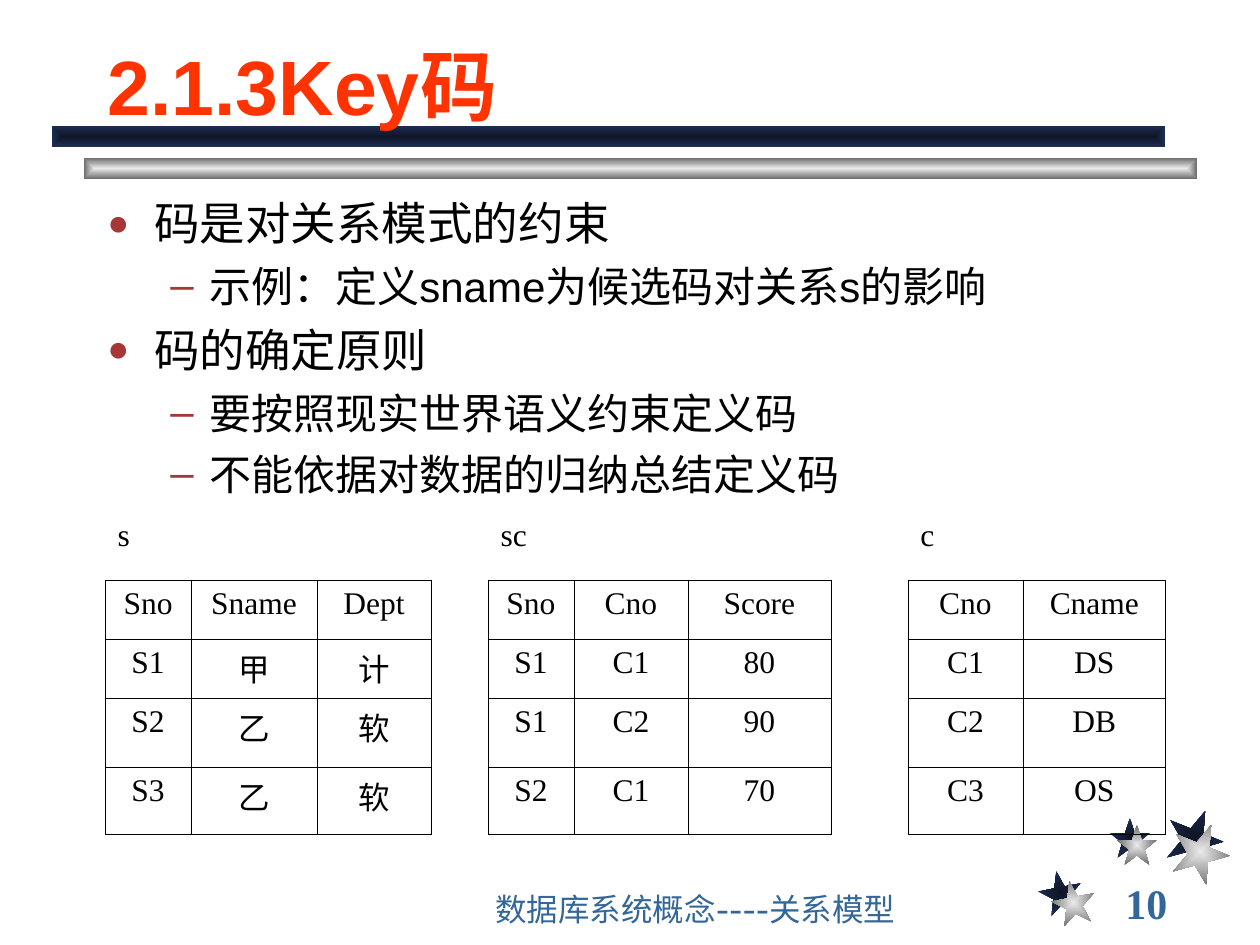
from dataclasses import dataclass

from lxml.etree import SubElement
from pptx import Presentation
from pptx.dml.color import RGBColor
from pptx.enum.shapes import MSO_SHAPE
from pptx.enum.text import MSO_ANCHOR, PP_ALIGN
from pptx.oxml.ns import qn
from pptx.util import Pt

EMU_PER_PX = 914400 / 126


def px(length):
    return round(length * EMU_PER_PX)


@dataclass(frozen=True)
class Theme:
    ink: str = "000000"
    title: str = "FF3300"
    footer: str = "336699"
    bullet: str = "A73737"
    navy: tuple = ("0E1526", "1E2E53")
    silver: tuple = ("EAEAEA", "6C6C6C")
    sans: str = "Arial"
    serif: str = "Times New Roman"
    footer_font: str = "Cabin"
    title_size: int = 44
    body_sizes: tuple = (26, 24)
    number_size: int = 24
    small_size: int = 18
    border: float = 0.45


# Outline of a five-pointed star in a unit square
STAR = [(0, .38), (.38, .38), (.5, 0), (.62, .38), (1, .38),
        (.69, .62), (.81, 1), (.5, .76), (.19, 1), (.31, .62)]

# Bullet character, size in percent, left margin and hanging indent by level
LEVELS = [("●", 80, 47, 47), ("–", 100, 102, 39)]


class SlideBuilder:
    def __init__(self, page, theme):
        self.page = page
        self.theme = theme

    def span(self, para, text, size, font, color, bold=False):
        span = para.add_run()
        span.text = text
        span.font.size = Pt(size)
        span.font.name = font
        span.font.bold = bold
        span.font.color.rgb = RGBColor.from_string(color)

    def gradient(self, shape, colors):
        """Rectangular gradient from the centre outwards."""
        shape.shadow.inherit = False
        shape.line.fill.background()
        shape.fill.gradient()
        for stop, color, position in zip(shape.fill.gradient_stops, colors, (0, 1)):
            stop.color.rgb = RGBColor.from_string(color)
            stop.position = position
        grad = shape._element.spPr.find(qn("a:gradFill"))
        grad.remove(grad.find(qn("a:lin")))
        route = SubElement(grad, qn("a:path"), {"path": "rect"})
        SubElement(route, qn("a:fillToRect"), dict.fromkeys("ltrb", "50000"))

    def bar(self, left, top, width, height, colors):
        bar = self.page.shapes.add_shape(
            MSO_SHAPE.RECTANGLE, px(left), px(top), px(width), px(height))
        self.gradient(bar, colors)

    def star(self, left, top, size, rotation, colors):
        points = [(px(left + x * size), px(top + y * size)) for x, y in STAR]
        builder = self.page.shapes.build_freeform(*points[0])
        builder.add_line_segments(points[1:], close=True)
        star = builder.convert_to_shape()
        star.rotation = rotation
        self.gradient(star, colors)

    def text_box(self, left, top, width, height, anchor):
        box = self.page.shapes.add_textbox(px(left), px(top), px(width), px(height))
        frame = box.text_frame
        frame.word_wrap = True
        frame.vertical_anchor = anchor
        return frame

    def label(self, frame_px, anchor, text, size, font, color, bold=False):
        frame = self.text_box(*frame_px, anchor)
        self.span(frame.paragraphs[0], text, size, font, color, bold)

    def bullets(self, frame_px, items):
        frame = self.text_box(*frame_px, MSO_ANCHOR.TOP)
        for index, (level, text) in enumerate(items):
            para = frame.paragraphs[0] if index == 0 else frame.add_paragraph()
            para.level = level
            size = self.theme.body_sizes[level]
            if index:
                para.space_before = Pt(size / 4)
            mark, percent, margin, hang = LEVELS[level]
            props = para._p.get_or_add_pPr()
            props.set("marL", str(px(margin)))
            props.set("indent", str(-px(hang)))
            color = SubElement(props, qn("a:buClr"))
            SubElement(color, qn("a:srgbClr"), val=self.theme.bullet)
            SubElement(props, qn("a:buSzPct"), val=str(percent * 1000))
            SubElement(props, qn("a:buFont"), typeface=self.theme.sans)
            SubElement(props, qn("a:buChar"), char=mark)
            self.span(para, text, size, self.theme.sans, self.theme.ink)

    def borders(self, cell, sides):
        """Rule the named sides and leave the others open."""
        props = cell._tc.get_or_add_tcPr()
        for position, side in enumerate("LRTB"):
            line = props.makeelement(
                qn(f"a:ln{side}"), {"w": str(Pt(self.theme.border))})
            props.insert(position, line)
            if side in sides:
                fill = SubElement(line, qn("a:solidFill"))
                SubElement(fill, qn("a:srgbClr"), val=self.theme.ink)
            else:
                SubElement(line, qn("a:noFill"))

    def table(self, left, top, widths, heights, rows):
        """Captions in the first row; empty columns separate the relations."""
        table = self.page.shapes.add_table(
            len(rows), len(widths), px(left), px(top),
            px(sum(widths)), px(sum(heights))).table
        table.first_row = table.horz_banding = False
        for column, width in zip(table.columns, widths):
            column.width = px(width)
        for row, height in zip(table.rows, heights):
            row.height = px(height)

        def ruled(r, c):
            return 0 < r < len(rows) and 0 <= c < len(widths) and rows[r][c] != ""

        for r, values in enumerate(rows):
            for c, value in enumerate(values):
                cell = table.cell(r, c)
                cell.fill.background()
                neighbours = {"L": (r, c - 1), "R": (r, c + 1),
                              "T": (r - 1, c), "B": (r + 1, c)}
                self.borders(cell, [side for side, place in neighbours.items()
                                    if ruled(r, c) or ruled(*place)])
                cell.margin_left = cell.margin_right = px(12.6)
                cell.margin_top = cell.margin_bottom = px(6.3)
                para = cell.text_frame.paragraphs[0]
                para.alignment = PP_ALIGN.CENTER if r else PP_ALIGN.LEFT
                if value:
                    self.span(para, value, self.theme.small_size,
                              self.theme.serif, self.theme.ink)
                else:
                    para.font.size = Pt(self.theme.small_size)


def main():
    theme = Theme()
    deck = Presentation()
    deck.slide_width, deck.slide_height = px(1260), px(945)
    slide = SlideBuilder(deck.slides.add_slide(deck.slide_layouts[6]), theme)

    # Corner stars: navy behind, silver in front
    for colors, places in (
            (theme.navy, ((1039, 871), (1110, 818), (1166, 809))),
            (theme.silver, ((1052, 881), (1117, 825), (1172, 823)))):
        for place, size, rotation in zip(places, (43, 40, 57), (349, 0, 22)):
            slide.star(*place, size, rotation, colors)

    # Bars under the title
    slide.bar(84, 158, 1113, 21, theme.silver)
    slide.bar(52, 126, 1113, 21, theme.navy)

    # Page number and footer
    slide.label((1113, 882, 136, 42), MSO_ANCHOR.MIDDLE, "10",
                theme.number_size, theme.serif, theme.footer, bold=True)
    slide.label((483, 892, 514, 42), MSO_ANCHOR.BOTTOM, "数据库系统概念----关系模型",
                theme.small_size, theme.footer_font, theme.footer)

    # Title and body
    slide.label((95, 21, 1071, 116), MSO_ANCHOR.BOTTOM, "2.1.3Key码",
                theme.title_size, theme.sans, theme.title, bold=True)
    slide.bullets((95, 189, 992, 343), [
        (0, "码是对关系模式的约束"),
        (1, "示例：定义sname为候选码对关系s的影响"),
        (0, "码的确定原则"),
        (1, "要按照现实世界语义约束定义码"),
        (1, "不能依据对数据的归纳总结定义码"),
    ])

    # Relations s, sc and c
    slide.table(
        105, 512,
        [86, 126, 114, 57, 86, 114, 143, 77, 115, 143],
        [68, 59, 59, 69, 68],
        [["s", "", "", "", "sc", "", "", "", "c", ""],
         ["Sno", "Sname", "Dept", "", "Sno", "Cno", "Score", "", "Cno", "Cname"],
         ["S1", "甲", "计", "", "S1", "C1", "80", "", "C1", "DS"],
         ["S2", "乙", "软", "", "S1", "C2", "90", "", "C2", "DB"],
         ["S3", "乙", "软", "", "S2", "C1", "70", "", "C3", "OS"]])

    deck.save("out.pptx")


if __name__ == "__main__":
    main()
